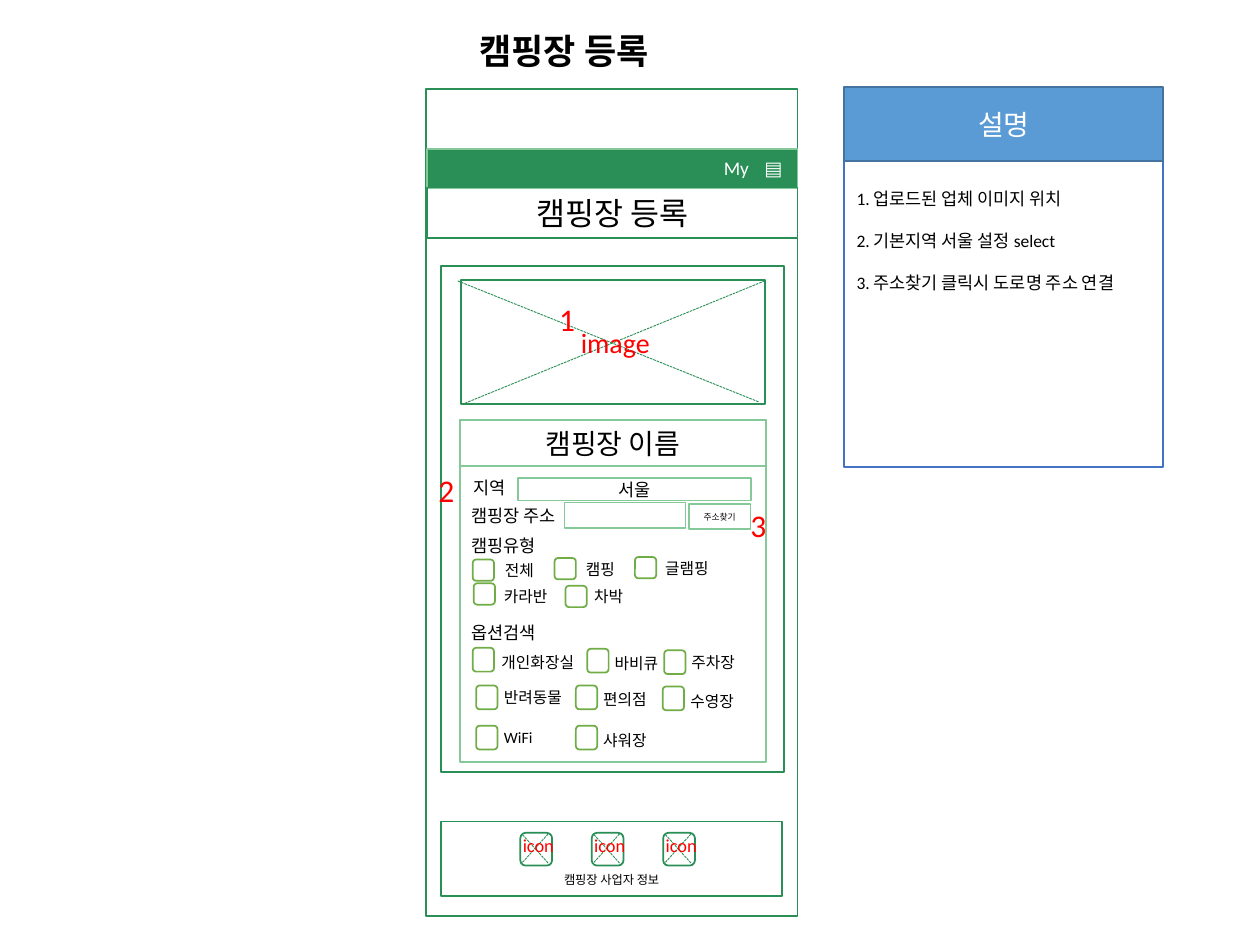
import pptx
import pptx.dml.color
import pptx.enum.dml
import pptx.enum.shapes
import pptx.enum.text
import pptx.oxml
import pptx.oxml.ns
import pptx.util

Cm = pptx.util.Cm
Pt = pptx.util.Pt
Shape = pptx.enum.shapes.MSO_SHAPE
Anchor = pptx.enum.text.MSO_ANCHOR
Align = pptx.enum.text.PP_ALIGN

GREEN, MINT, LEAF = "2A8E57", "85C89A", "70AD47"
WHITE, BLACK, RED = "FFFFFF", "000000", "FF0000"


def color(value):
    return pptx.dml.color.RGBColor.from_string(value)


def assign(target, values):
    for name, value in values.items():
        setattr(target, name, value)


class Wireframe:
    font_name = "Calibri"

    def __init__(self, page):
        self.page = page

    def add_lines(self, shape, lines, size, ink, align, gap=0, bold=False):
        frame = shape.text_frame
        for index, line in enumerate(lines):
            para = frame.paragraphs[0] if index == 0 else frame.add_paragraph()
            para.alignment = align
            if index:
                para.space_before = Pt(gap)
            span = para.add_run()
            span.text = line
            assign(span.font, {"name": self.font_name, "size": Pt(size), "bold": bold})
            span.font.color.rgb = color(ink)

    def box(self, place, *lines, fill=WHITE, line=GREEN, kind=Shape.RECTANGLE,
            size=10, ink=BLACK, align=Align.CENTER, gap=0, **frame_format):
        shape = self.page.shapes.add_shape(kind, *map(Cm, place))
        shape.shadow.inherit = False
        if fill:
            shape.fill.solid()
            shape.fill.fore_color.rgb = color(fill)
        else:
            shape.fill.background()
        shape.line.color.rgb = color(line)
        shape.line.width = Pt(1)
        layout = {"word_wrap": True, "vertical_anchor": Anchor.MIDDLE}
        assign(shape.text_frame, layout | frame_format)
        self.add_lines(shape, lines, size, ink, align, gap)

    def label(self, place, text, size, ink=BLACK, align=Align.LEFT, bold=False, wrap=True):
        shape = self.page.shapes.add_textbox(*map(Cm, place))
        assign(shape.text_frame, {
            "word_wrap": wrap,
            "auto_size": pptx.enum.text.MSO_AUTO_SIZE.SHAPE_TO_FIT_TEXT,
        })
        self.add_lines(shape, [text], size, ink, align, bold=bold)

    def dash(self, *ends):
        line = self.page.shapes.add_connector(
            pptx.enum.shapes.MSO_CONNECTOR.STRAIGHT, *map(Cm, ends))
        line.line.color.rgb = color(GREEN)
        assign(line.line, {
            "width": Pt(0.5),
            "dash_style": pptx.enum.dml.MSO_LINE.SQUARE_DOT,
        })
        properties = line._element.spPr
        properties.append(pptx.oxml.parse_xml(
            "<a:effectLst %s/>" % pptx.oxml.ns.nsdecls("a")))

    def checkbox(self, text, left, top, label_left, label_top, label_width, height):
        self.box((left, top, 0.43, height), line=LEAF, kind=Shape.ROUNDED_RECTANGLE)
        self.label((label_left, label_top, label_width, 0.64), text, 9)

    def icon(self, left):
        self.box((left, 16.79, 0.64, 0.66), kind=Shape.ROUNDED_RECTANGLE)
        near, far = left + 0.03, left + 0.56
        self.dash(far, 17.4, near, 16.81)
        self.dash(far, 16.81, near, 17.4)
        self.label((left - 0.2, 16.69, 1.24, 0.76), "icon", 10.5, RED)


CAMPING_TYPES = [
    ("전체", 9.53, 11.28, 9.93, 11.18, 1.8),
    ("캠핑", 11.18, 11.25, 11.56, 11.15, 1.14),
    ("글램핑", 12.8, 11.23, 13.16, 11.13, 1.57),
    ("카라반", 9.55, 11.76, 9.91, 11.71, 1.52),
    ("차박", 11.4, 11.81, 11.73, 11.71, 1.14),
]
OPTIONS = [
    ("개인화장실", 9.53, 13.06, 9.86, 13.03, 2.29),
    ("바비큐", 11.84, 13.08, 12.14, 13.06, 1.96),
    ("주차장", 13.39, 13.11, 13.69, 13.03, 1.5),
    ("반려동물", 9.6, 13.82, 9.91, 13.74, 1.85),
    ("편의점", 11.61, 13.82, 11.91, 13.79, 1.55),
    ("수영장", 13.36, 13.84, 13.67, 13.82, 1.55),
    ("WiFi", 9.6, 14.63, 9.91, 14.55, 1.85),
    ("샤워장", 11.61, 14.63, 11.91, 14.61, 1.55),
]
FIELD_NAMES = [
    ("옵션검색", 9.25, 12.42, 1.93),
    ("캠핑유형", 9.25, 10.67, 1.93),
    ("캠핑장 주소", 9.25, 10.06, 2.36),
    ("지역", 9.3, 9.5, 1.22),
]
MARKERS = [("1", 11.02, 5.92), ("2", 8.59, 9.37), ("3", 14.88, 10.08)]


def main():
    deck = pptx.Presentation()
    assign(deck, {"slide_width": Cm(25.4), "slide_height": Cm(19.05)})
    wire = Wireframe(deck.slides.add_slide(deck.slide_layouts[6]))

    wire.box((8.89, 5.36, 6.91, 10.21))
    wire.box((9.27, 8.46, 6.17, 6.91), line=MINT)
    wire.box((8.59, 1.8, 7.49, 16.66), fill=None)

    wire.box((17.02, 3.25, 6.43, 6.17),
             "1. 업로드된 업체 이미지 위치",
             "2. 기본지역 서울 설정 select",
             "3. 주소찾기 클릭시 도로명 주소 연결",
             line="4472C4", align=Align.LEFT, gap=12,
             vertical_anchor=Anchor.TOP, margin_top=Cm(0.55))
    wire.box((17.02, 1.75, 6.43, 1.5), "설명",
             fill="5B9BD5", line="43739E", size=16, ink=WHITE)

    wire.box((8.61, 3, 7.47, 0.79), fill=GREEN, line=MINT)
    for text, left, width in [("My", 14.25, 1.19), ("▤", 15.16, 0.81)]:
        wire.box((left, 3.05, width, 0.66), text, fill=None, size=11, ink=WHITE)
    wire.label((6.1, 0.48, 10.54, 1.12), "캠핑장 등록", 20, align=Align.CENTER, bold=True)
    wire.box((8.61, 3.78, 7.47, 1.02), "캠핑장 등록",
             fill=None, size=18, vertical_anchor=Anchor.TOP)
    wire.box((9.27, 8.48, 6.17, 0.91), "캠핑장 이름", line=MINT, size=16)

    wire.box((9.3, 5.64, 6.12, 2.51))
    wire.dash(15.29, 8.1, 9.22, 5.66)
    wire.dash(15.42, 5.66, 9.32, 8.15)
    wire.label((11.46, 6.43, 2.06, 0.53), "image", 16, RED)

    for choices, height in [(CAMPING_TYPES, 0.43), (OPTIONS, 0.48)]:
        for choice in choices:
            wire.checkbox(*choice, height)
    for text, left, top, width in FIELD_NAMES:
        wire.label((left, top, width, 0.69), text, 10, wrap=False)

    wire.box((10.44, 9.63, 4.7, 0.46), "서울", line=MINT)
    wire.box((11.38, 10.13, 2.44, 0.51), line=MINT)
    wire.box((13.89, 10.16, 1.24, 0.51), "주소찾기", line=MINT, size=5)
    for text, left, top in MARKERS:
        wire.label((left, top, 0.79, 1.02), text, 18, RED)

    wire.box((8.89, 16.56, 6.88, 1.5), "캠핑장 사업자 정보", size=7,
             vertical_anchor=Anchor.BOTTOM, margin_bottom=Cm(0.18))
    for column in range(3):
        wire.icon(10.49 + 1.44 * column)

    deck.save("out.pptx")


if __name__ == "__main__":
    main()
